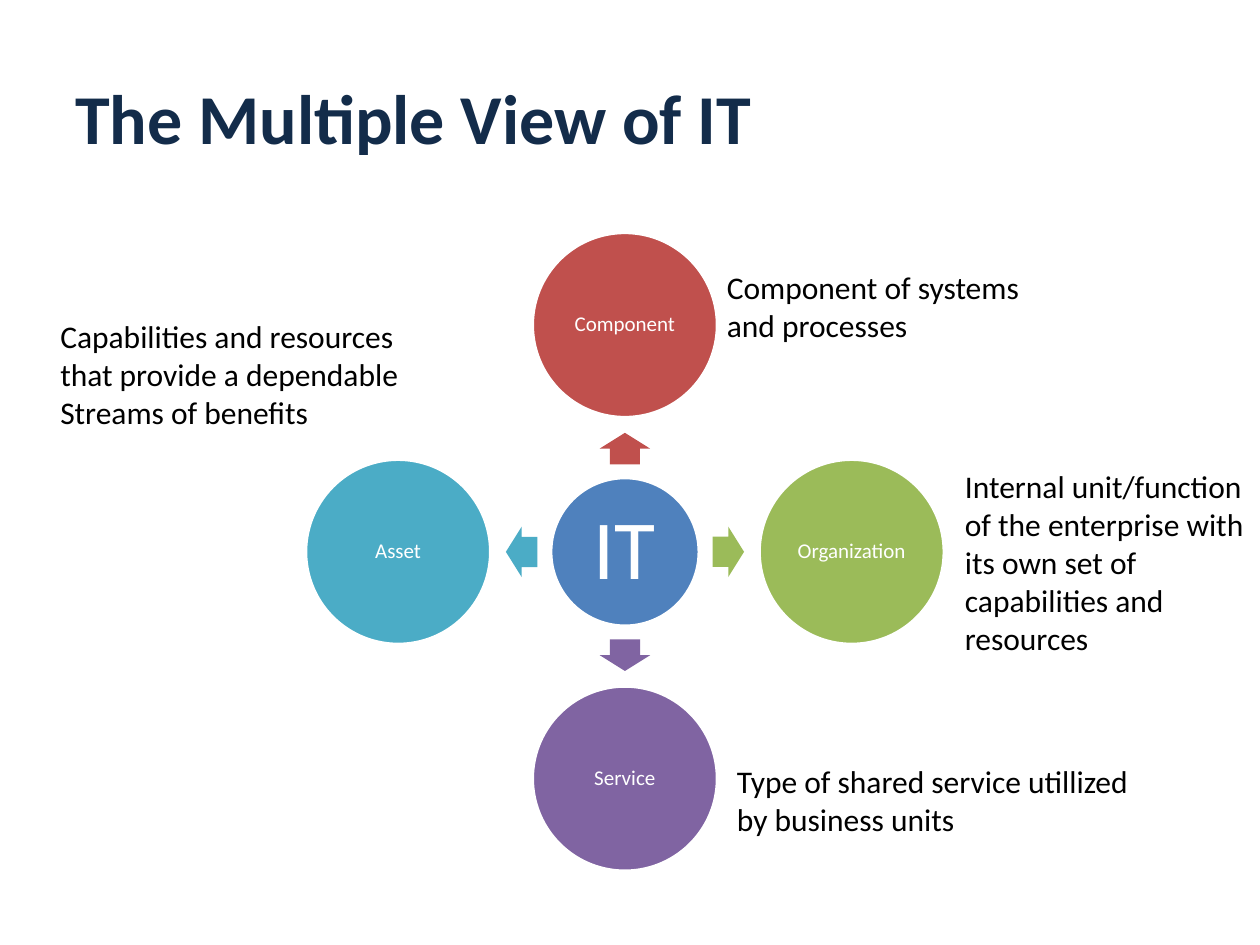
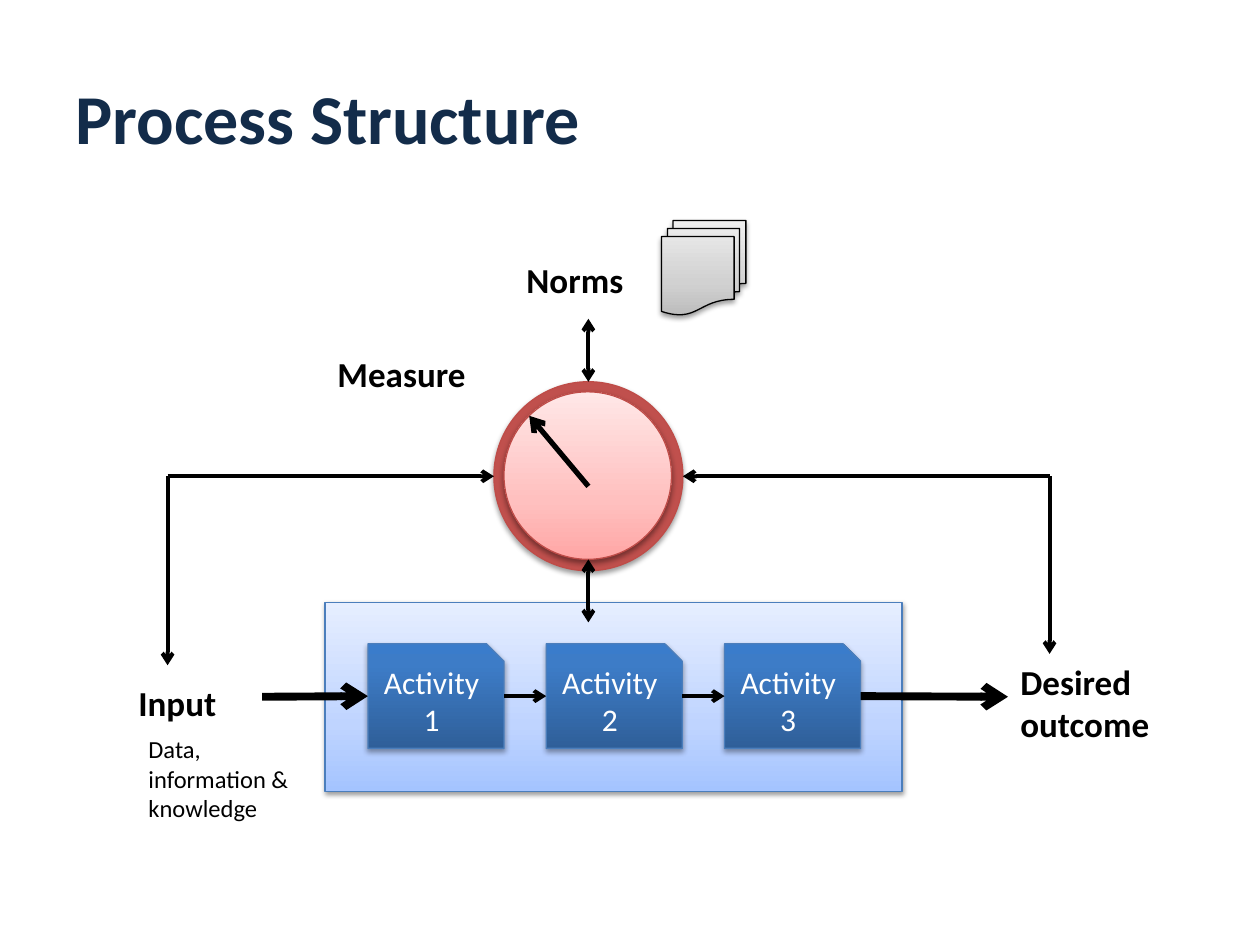
from lxml.etree import SubElement
from pptx import Presentation
from pptx.dml.color import RGBColor
from pptx.enum.shapes import MSO_CONNECTOR, MSO_SHAPE
from pptx.enum.text import MSO_ANCHOR, MSO_AUTO_SIZE, PP_ALIGN
from pptx.oxml.ns import qn
from pptx.util import Inches, Pt

FONT = "Calibri"
NAVY, BLACK, WHITE = "132C4A", "000000", "FFFFFF"
RED, RED_EDGE, BLUE_EDGE = "C0504D", "BF4C48", "4B7EBC"
PALE_BLUE = [(0, "A4C4FF"), (35, "BFD4FF"), (100, "E6EEFF")]
DEEP_BLUE = [(0, "2F5F99"), (80, "3D7CC7"), (100, "3A7CCB")]
PINK = [(0, "FFA6A5"), (35, "FFC0BF"), (100, "FFE7E7")]
GREY = [(0, "BDBDBD"), (35, "D1D1D1"), (100, "EEEEEE")]


def color(code):
    return RGBColor.from_string(code)


def write(frame, text, size, ink, bold=False, align=None, spacing=None):
    """Fill a frame; each line of text becomes a paragraph."""
    for i, line in enumerate(text.split("\n")):
        para = frame.paragraphs[0] if i == 0 else frame.add_paragraph()
        para.alignment = align
        para.line_spacing = spacing
        run = para.add_run()
        run.text = line
        run.font.name = FONT
        run.font.size = Pt(size)
        run.font.bold = bold
        run.font.color.rgb = color(ink)


def add_title(slide, text):
    box = slide.shapes.add_textbox(Inches(0.5), Inches(0.3), Inches(9), Inches(1.25))
    box.text_frame.word_wrap = True
    box.text_frame.vertical_anchor = MSO_ANCHOR.MIDDLE
    write(box.text_frame, text, 40, NAVY, bold=True)


def add_label(slide, text, x, y, w, h, size=18, bold=False):
    box = slide.shapes.add_textbox(Inches(x), Inches(y), Inches(w), Inches(h))
    box.text_frame.word_wrap = False
    box.text_frame.auto_size = MSO_AUTO_SIZE.SHAPE_TO_FIT_TEXT
    write(box.text_frame, text, size, BLACK, bold)


def paint(shape, fill):
    """Fill with one colour, or with (percent, colour) stops from the bottom up."""
    if isinstance(fill, str):
        shape.fill.solid()
        shape.fill.fore_color.rgb = color(fill)
        return
    shape.fill.gradient()
    shape.fill.gradient_angle = 90
    stops = shape._element.spPr.find(".//" + qn("a:gsLst"))
    for stop in list(stops):
        stops.remove(stop)
    for place, code in fill:
        stop = SubElement(stops, qn("a:gs"), pos=str(place * 1000))
        SubElement(stop, qn("a:srgbClr"), val=code)


def add_figure(slide, kind, x, y, w, h, fill, edge=None, width=0.75):
    shape = slide.shapes.add_shape(kind, Inches(x), Inches(y), Inches(w), Inches(h))
    shape.shadow.inherit = False
    paint(shape, fill)
    if edge:
        shape.line.color.rgb = color(edge)
        shape.line.width = Pt(width)
    else:
        shape.line.fill.background()
    return shape


def cast_shadow(shape, alpha=38, drop=1.6):
    effects = shape._element.spPr.find(qn("a:effectLst"))
    shadow = SubElement(effects, qn("a:outerShdw"), blurRad=str(Pt(3.1)),
                        dist=str(Pt(drop)), dir="5400000", rotWithShape="0")
    tint = SubElement(shadow, qn("a:srgbClr"), val=BLACK)
    SubElement(tint, qn("a:alpha"), val=str(alpha * 1000))


def add_circle(slide, text, x, y, size, fill, points, inset):
    """Draw a captioned circle around the point x, y."""
    disc = add_figure(slide, MSO_SHAPE.OVAL, x - size / 2, y - size / 2,
                      size, size, fill, WHITE, 2)
    frame = disc.text_frame
    frame.word_wrap = True
    frame.vertical_anchor = MSO_ANCHOR.MIDDLE
    frame.margin_left = frame.margin_right = Inches(inset)
    frame.margin_top = frame.margin_bottom = Inches(inset)
    write(frame, text, points, WHITE, align=PP_ALIGN.CENTER, spacing=0.9)


def add_arrow(slide, start, end, width=2.25, both=False):
    line = slide.shapes.add_connector(MSO_CONNECTOR.STRAIGHT,
                                      *(Inches(v) for v in start + end))
    line.line.color.rgb = color(BLACK)
    line.line.width = Pt(width)
    props = line._element.spPr
    stroke = props.find(qn("a:ln"))
    if both:
        SubElement(stroke, qn("a:headEnd"), type="arrow")
    SubElement(stroke, qn("a:tailEnd"), type="arrow")
    SubElement(props, qn("a:effectLst"))
    return line


def add_step(slide, number, x):
    step = add_figure(slide, MSO_SHAPE.SNIP_1_RECTANGLE, x, 5.11, 1.08, 0.83,
                      DEEP_BLUE, BLUE_EDGE)
    cast_shadow(step, 35, 1.8)
    step.text_frame.word_wrap = True
    step.text_frame.vertical_anchor = MSO_ANCHOR.MIDDLE
    write(step.text_frame, f"Activity {number}", 18, WHITE, align=PP_ALIGN.CENTER)
    return step


def draw_views(slide):
    add_title(slide, "The Multiple View of IT")
    mid_x, mid_y, reach, gap = 4.96, 4.38, 1.8, 0.82
    add_circle(slide, "IT", mid_x, mid_y, 1.18, "4F81BD", 48, 0.07)
    views = [("Component", RED, 0, -1, 270), ("Organization", "9BBB59", 1, 0, 0),
             ("Service", "8064A2", 0, 1, 90), ("Asset", "4BACC6", -1, 0, 180)]
    for name, fill, dx, dy, turn in views:
        arrow = add_figure(slide, MSO_SHAPE.RIGHT_ARROW, mid_x + gap * dx - 0.125,
                           mid_y + gap * dy - 0.2, 0.25, 0.4, fill)
        arrow.adjustments[0] = 0.6
        arrow.rotation = turn
        add_circle(slide, name, mid_x + reach * dx, mid_y + reach * dy,
                   1.47, fill, 12, 0.02)
    add_label(slide, "Component of systems\nand processes", 5.67, 2.08, 2.55, 0.71)
    add_label(slide, "Internal unit/function\nof the enterprise with\nits own set of\n"
              "capabilities and\nresources", 7.56, 3.66, 2.44, 1.62)
    add_label(slide, "Type of shared service utillized\nby business units",
              5.75, 6, 3.35, 0.71)
    add_label(slide, "Capabilities and resources\nthat provide a dependable\n"
              "Streams of benefits", 0.38, 2.47, 2.92, 1.01)


def draw_process(slide):
    add_title(slide, "Process Structure")
    mid_x, mid_y, flow_y, left, right = 4.67, 3.78, 5.53, 1.33, 8.33
    figures = [(MSO_SHAPE.OVAL, 3.92, 3.03, 1.5, 1.5, RED, RED_EDGE),
               (MSO_SHAPE.RECTANGLE, 2.58, 4.78, 4.58, 1.5, PALE_BLUE, BLUE_EDGE),
               (MSO_SHAPE.OVAL, 4, 3.11, 1.33, 1.33, PINK, RED_EDGE),
               (MSO_SHAPE.FLOWCHART_MULTIDOCUMENT, 5.25, 1.75, 0.67, 0.75, GREY, BLACK)]
    for figure in figures:
        cast_shadow(add_figure(slide, *figure))

    steps = [add_step(slide, i + 1, 2.92 + 1.415 * i) for i in range(3)]
    for prior, after in zip(steps, steps[1:]):
        link = add_arrow(slide, (4, flow_y), (4.33, flow_y))
        link.begin_connect(prior, 3)
        link.end_connect(after, 1)
    add_arrow(slide, (2.08, flow_y), (2.92, flow_y), 4.5).end_connect(steps[0], 1)
    add_arrow(slide, (6.83, flow_y), (8, flow_y), 4.5).begin_connect(steps[-1], 3)

    add_arrow(slide, (mid_x, 3.86), (4.2, 3.3), 3)
    for top in (2.53, 4.44):
        add_arrow(slide, (mid_x, top), (mid_x, top + 0.5), both=True)
    for side, rim, foot in ((left, 3.92, 5.28), (right, 5.42, 5.19)):
        add_arrow(slide, (side, mid_y), (rim, mid_y))
        add_arrow(slide, (side, mid_y), (side, foot))

    for label in [("Desired\noutcome", 8, 5.19, 1.23, 0.77), ("Input", 1, 5.36, 0.83, 0.44),
                  ("Measure", 2.58, 2.75, 1.29, 0.44), ("Norms", 4.08, 2, 1.04, 0.44)]:
        add_label(slide, *label, size=20, bold=True)
    add_label(slide, "Data,\ninformation &\nknowledge", 1.08, 5.78, 1.36, 0.81, size=14)


def main():
    deck = Presentation()
    deck.slide_width, deck.slide_height = Inches(10), Inches(7.5)
    for draw in (draw_views, draw_process):
        draw(deck.slides.add_slide(deck.slide_layouts[6]))
    deck.save("out.pptx")


if __name__ == "__main__":
    main()
